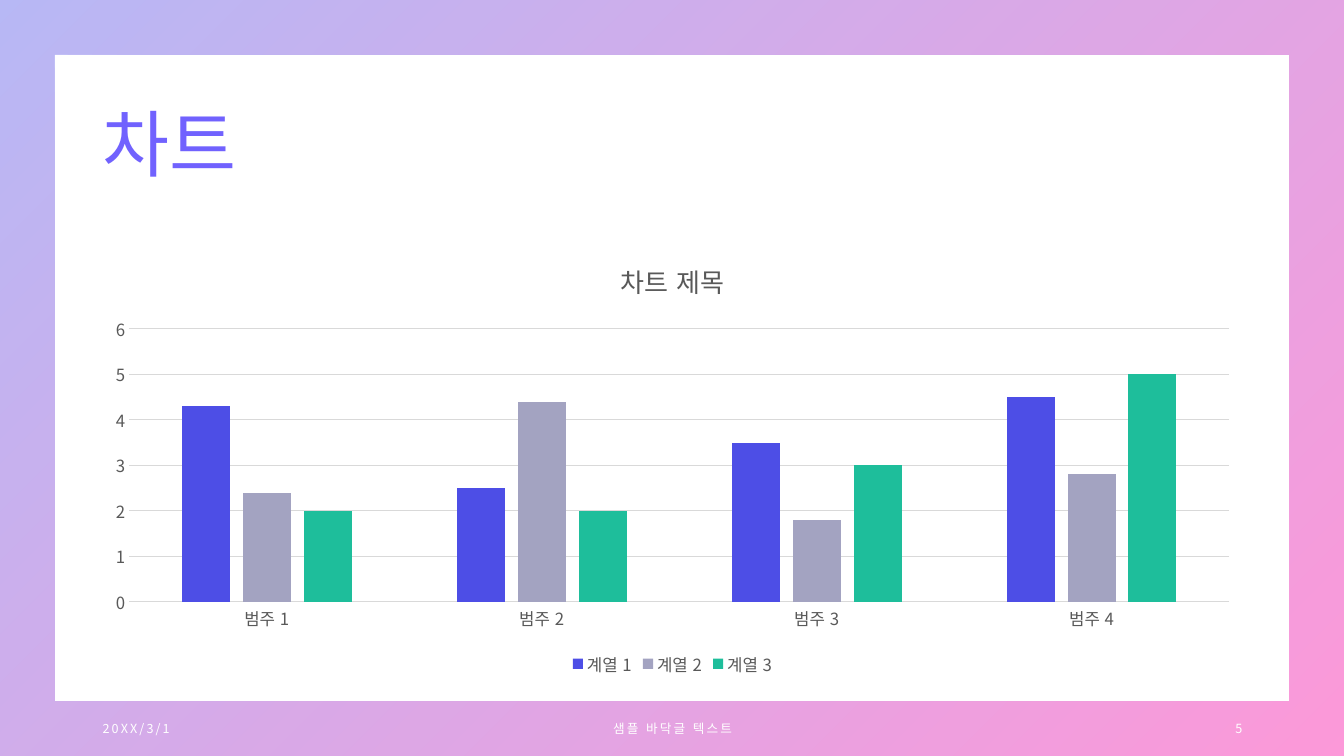
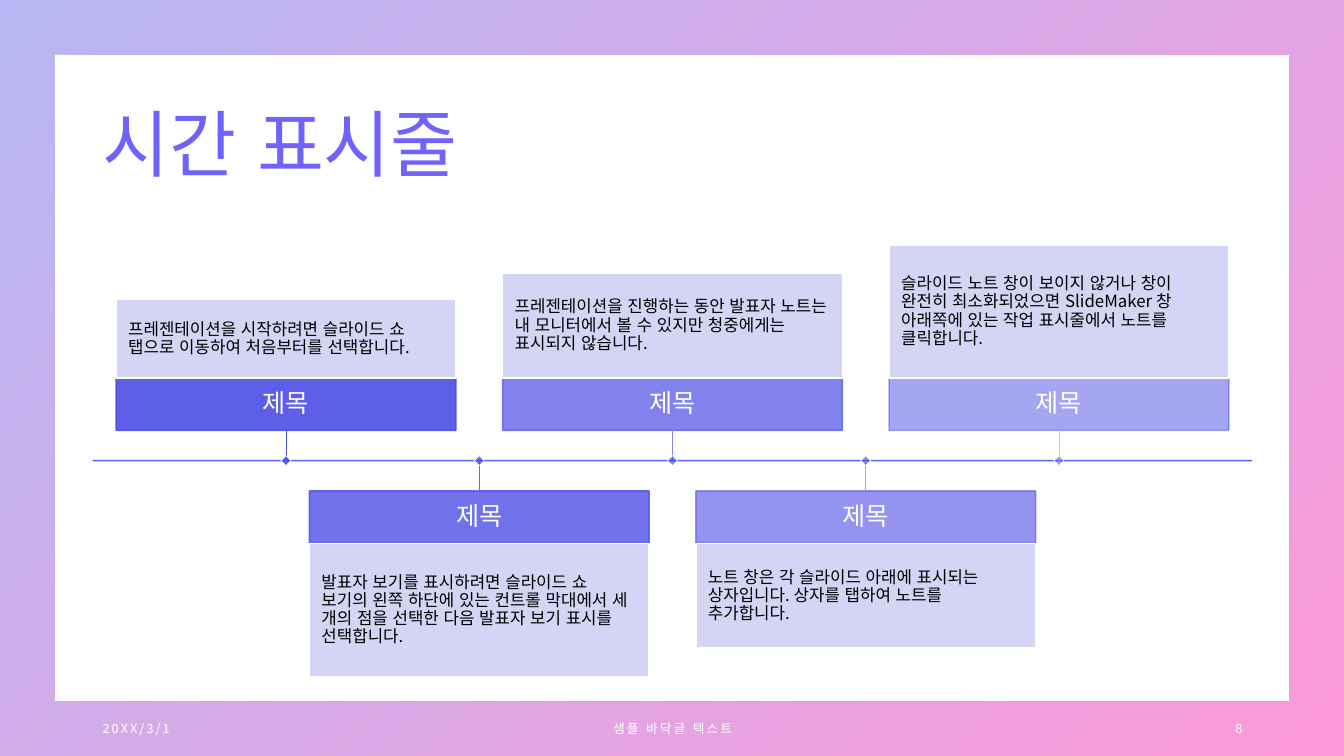
"""Build a chart slide and a timeline slide inside a shared gradient frame."""
from lxml import etree
from pptx import Presentation
from pptx import util as u
from pptx.chart.data import CategoryChartData
from pptx.dml.color import RGBColor
from pptx.enum import chart as ch, lang, shapes, text
from pptx.oxml.ns import qn

FONT = "Noto Sans CJK KR"
INDIGO, PINK, VIOLET = "4D4EE6", "F900A0", "7162FE"
WHITE, BLACK, GREY, RULE, PALE = "FFFFFF", "000000", "595959", "D9D9D9", "D0D0F5"
SLIDE_W, SLIDE_H = 13.33, 7.5
LEFT, WIDTH = 0.92, 11.5
DATE, FOOTER = "20XX/3/1", "샘플 바닥글 텍스트"
ALIGN = text.PP_ALIGN

CATEGORIES = ["범주 1", "범주 2", "범주 3", "범주 4"]
SERIES = [
    ("계열 1", (4.3, 2.5, 3.5, 4.5), INDIGO),
    ("계열 2", (2.4, 4.4, 1.8, 2.8), "A3A3C1"),
    ("계열 3", (2, 2, 3, 5), "1EBE9B"),
]
CARDS = [
    ("제목", "프레젠테이션을 시작하려면 슬라이드 쇼 탭으로 이동하여 처음부터를 선택합니다.",
     0.78, "4A4BDC"),
    ("제목", "발표자 보기를 표시하려면 슬라이드 쇼 보기의 왼쪽 하단에 있는 컨트롤 막대에서 "
     "세 개의 점을 선택한 다음 발표자 보기 표시를 선택합니다.", 1.32, "6868E2"),
    ("제목", "프레젠테이션을 진행하는 동안 발표자 노트는 내 모니터에서 볼 수 있지만 "
     "청중에게는 표시되지 않습니다.", 1.04, "8686E7"),
    ("제목", "노트 창은 각 슬라이드 아래에 표시되는 상자입니다. 상자를 탭하여 노트를 "
     "추가합니다.", 1.04, "A4A4ED"),
    ("제목", "슬라이드 노트 창이 보이지 않거나 창이 완전히 최소화되었으면 SlideMaker 창 "
     "아래쪽에 있는 작업 표시줄에서 노트를 클릭합니다.", 1.32, "C2C2F3"),
]
AXIS_Y, STEM, BAR_H, CARD_W, DOT = 4.57, 0.3, 0.52, 3.37, 0.1


def rgb(value):
    return RGBColor.from_string(value)


def inches(*values):
    return [u.Inches(v) for v in values]


def style(font, size, color):
    font.size, font.name = u.Pt(size), FONT
    font.language_id = lang.MSO_LANGUAGE_ID.KOREAN
    font.fill.solid()
    font.fill.fore_color.rgb = rgb(color)
    etree.SubElement(font._rPr, qn("a:ea")).set("typeface", FONT)


def write(sp, words, size=12, color=BLACK, align=ALIGN.LEFT, inset=None,
          leading=None, tracking=None):
    tf = sp.text_frame
    tf.word_wrap, tf.auto_size = True, text.MSO_AUTO_SIZE.NONE
    tf.vertical_anchor = text.MSO_ANCHOR.MIDDLE
    if inset:
        tf.margin_left = tf.margin_right = u.Inches(inset)
        tf.margin_top = tf.margin_bottom = u.Inches(inset)
    p = tf.paragraphs[0]
    p.alignment, p.line_spacing = align, leading
    r = p.add_run()
    r.text = words
    style(r.font, size, color)
    if tracking:
        r.font._rPr.set("spc", str(int(tracking * 100)))


def fade(sp, color, percent):
    for clr in sp._element.iter(qn("a:srgbClr")):
        if clr.get("val") == color:
            etree.SubElement(clr, qn("a:alpha")).set("val", str(percent * 1000))


def add_box(s, kind, at, fill, opacity, line, weight):
    sp = s.shapes.add_shape(kind, *inches(*at))
    sp.shadow.inherit = False
    sp.fill.solid()
    sp.fill.fore_color.rgb = rgb(fill)
    sp.line.color.rgb = rgb(line)
    sp.line.width = u.Pt(weight)
    fade(sp, fill, opacity)
    return sp


def add_line(s, start, end, color, weight):
    cn = s.shapes.add_connector(shapes.MSO_CONNECTOR.STRAIGHT, *inches(*start, *end))
    cn.line.color.rgb = rgb(color)
    cn.line.width = u.Pt(weight)
    etree.SubElement(cn._element.spPr, qn("a:effectLst"))
    return cn


def add_frame(s):
    sp = s.shapes.add_shape(shapes.MSO_SHAPE.FRAME, *inches(0, 0, SLIDE_W, SLIDE_H))
    sp.adjustments[0] = 0.072
    sp.shadow.inherit = False
    sp.line.fill.background()
    sp.fill.gradient()
    sp.fill.gradient_angle = 315
    for stop, color in zip(sp.fill.gradient_stops, (INDIGO, PINK)):
        stop.color.rgb = rgb(color)
        fade(sp, color, 40)
    s.slide_layout.shapes._spTree.insert(2, sp._element)


def add_slide(prs, title, number):
    s = prs.slides.add_slide(prs.slide_layouts[5])
    sp = s.shapes.title
    sp.left, sp.top, sp.width, sp.height = inches(LEFT, 0.74, WIDTH, 1.45)
    write(sp, title, size=52, color=VIOLET, leading=0.9)
    for words, left, width, align in (
        (DATE, LEFT, 3, ALIGN.LEFT),
        (FOOTER, 4.42, 4.5, ALIGN.CENTER),
        (str(number), LEFT + WIDTH - 3, 3, ALIGN.RIGHT),
    ):
        sp = s.shapes.add_textbox(*inches(left, 7.03, width, 0.4))
        write(sp, words, size=9, color=WHITE, align=align, tracking=1.5)
    return s


def add_column_chart(s):
    data = CategoryChartData()
    data.categories = CATEGORIES
    for name, values, _ in SERIES:
        data.add_series(name, values)
    chart = s.shapes.add_chart(ch.XL_CHART_TYPE.COLUMN_CLUSTERED,
                               *inches(LEFT, 2.38, WIDTH, 4.37), data).chart
    style(chart.font, 12, GREY)
    chart.has_title = True
    r = chart.chart_title.text_frame.paragraphs[0].add_run()
    r.text = "차트 제목"
    style(r.font, 18.6, GREY)
    r.font.bold = False
    chart.has_legend = True
    chart.legend.position = ch.XL_LEGEND_POSITION.BOTTOM
    chart.legend.include_in_layout = False
    plot = chart.plots[0]
    plot.gap_width, plot.overlap, plot.vary_by_categories = 219, -27, False
    for series, (_, _, color) in zip(plot.series, SERIES):
        series.format.fill.solid()
        series.format.fill.fore_color.rgb = rgb(color)
    cat, val = chart.category_axis, chart.value_axis
    val.minimum_scale, val.maximum_scale, val.major_unit = 0, 6, 1
    val.format.line.fill.background()
    for axis in (cat, val):
        axis.major_tick_mark = axis.minor_tick_mark = ch.XL_TICK_MARK.NONE
    for line in (cat.format.line, val.major_gridlines.format.line):
        line.color.rgb = rgb(RULE)
        line.width = u.Pt(0.75)


def add_timeline(s):
    rect, diamond = shapes.MSO_SHAPE.RECTANGLE, shapes.MSO_SHAPE.DIAMOND
    axis = add_line(s, (LEFT, AXIS_Y), (LEFT + WIDTH, AXIS_Y), INDIGO, 1)
    fade(axis, INDIGO, 90)
    step = WIDTH / (len(CARDS) + 1)
    for i, (heading, body, height, stem_color) in enumerate(CARDS):
        x, opacity = LEFT + step * (i + 1), 90 - 10 * i
        left = x - CARD_W / 2
        if i % 2:
            stem_end = bar_top = AXIS_Y + STEM
            body_top = bar_top + BAR_H
        else:
            stem_end = AXIS_Y - STEM
            bar_top = stem_end - BAR_H
            body_top = bar_top - height
        bar = add_box(s, rect, (left, bar_top, CARD_W, BAR_H), INDIGO, opacity, INDIGO, 1)
        write(bar, heading, size=18, color=WHITE, align=ALIGN.CENTER, inset=0.1, leading=0.9)
        note = add_box(s, rect, (left, body_top, CARD_W, height), PALE, 90, WHITE, 1)
        write(note, body, inset=0.12, leading=0.9)
        add_line(s, (x, stem_end), (x, AXIS_Y), stem_color, 0.5)
        add_box(s, diamond, (x - DOT / 2, AXIS_Y - DOT / 2, DOT, DOT),
                INDIGO, opacity, WHITE, 0.5)


def main():
    prs = Presentation()
    prs.slide_width, prs.slide_height = inches(SLIDE_W, SLIDE_H)
    s = add_slide(prs, "차트", 5)
    add_frame(s)
    add_column_chart(s)
    add_timeline(add_slide(prs, "시간 표시줄", 8))
    prs.save("out.pptx")


if __name__ == "__main__":
    main()
